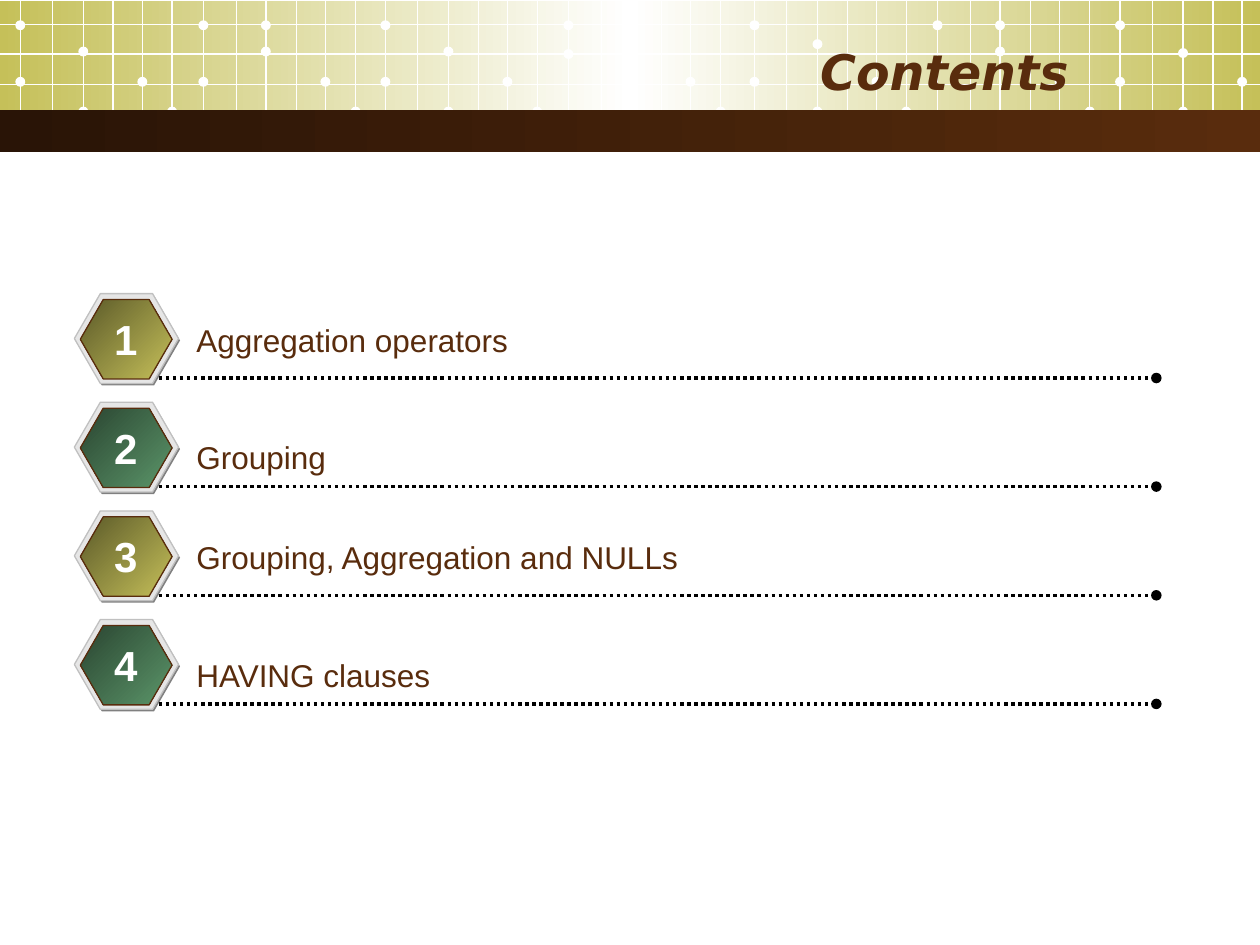
import copy

import pptx
import pptx.dml.color
import pptx.enum.dml
import pptx.enum.shapes
import pptx.enum.text
import pptx.oxml
import pptx.oxml.ns
import pptx.util

Cm = pptx.util.Cm
SHAPES = pptx.enum.shapes.MSO_SHAPE
ALIGN = pptx.enum.text.PP_ALIGN

WIDTH, HEIGHT = 25.4, 19.05
BROWN, WHITE, OLIVE = "592C0D", "FFFFFF", "C5C059"
OLIVE_FACE = ("5B5929", OLIVE)
GREEN_FACE = ("2A4531", "5B9569")

# Banner grid: each tile repeats the same columns and dots; only two dot heights vary.
COLUMNS = (0, 0.65, 1.27, 1.87, 2.46, 3.06, 3.69, 4.36, 4.95, 5.56, 6.15, 6.76)
GRID_ROWS = (0.5, 1.09, 1.7, 2.26)
# Tile left, height of the upper dot in column 2, height of the lower dot in column 6
TILES = ((0.41, 1.04, 1.65), (7.77, 1.04, 1.09), (15.21, 0.89, 1.3), (22.58, 1.07, 1.65))
DOT = 0.2

TOPICS = ("Aggregation operators", "Grouping", "Grouping, Aggregation and NULLs", "HAVING clauses")
FIRST_TOP, ROW_PITCH = 5.92, 2.19


def color(value):
    return pptx.dml.color.RGBColor.from_string(value)


class ContentsSlide:
    """Holds the slide being drawn and its shared text style."""

    font = "Arial"

    def __init__(self, presentation):
        self.slide = presentation.slides.add_slide(presentation.slide_layouts[6])

    def shape(self, kind, left, top, width, height, fill, line=None):
        """Fill is one colour, or a tuple of evenly spaced gradient colours."""
        shape = self.slide.shapes.add_shape(kind, Cm(left), Cm(top), Cm(width), Cm(height))
        shape.shadow.inherit = False
        if isinstance(fill, tuple):
            self.gradient(shape.fill, fill)
        else:
            shape.fill.solid()
            shape.fill.fore_color.rgb = color(fill)
        if line:
            shape.line.color.rgb = color(line)
            shape.line.width = pptx.util.Pt(0.75)
        else:
            shape.line.fill.background()
        return shape

    def gradient(self, fill, colors):
        fill.gradient()
        fill.gradient_angle = 0
        stop_list = fill._fill._gradFill.gsLst
        while len(stop_list) < len(colors):
            stop_list.append(copy.deepcopy(stop_list[-1]))
        for index, (stop, value) in enumerate(zip(fill.gradient_stops, colors)):
            stop.color.rgb = color(value)
            stop.position = index / (len(colors) - 1)

    def hexagon(self, left, top, width, height, fill, line=None):
        shape = self.shape(SHAPES.HEXAGON, left, top, width, height, fill, line)
        shape.adjustments[0] = 0.289
        shape.adjustments[1] = 1.155
        return shape

    def line(self, start, end, line_color, width, dotted=False):
        """Dotted lines end in a round dot."""
        connector = self.slide.shapes.add_connector(
            pptx.enum.shapes.MSO_CONNECTOR.STRAIGHT, *map(Cm, start + end))
        connector.line.color.rgb = color(line_color)
        connector.line.width = pptx.util.Pt(width)
        properties = connector._element.spPr
        if dotted:
            connector.line.dash_style = pptx.enum.dml.MSO_LINE.ROUND_DOT
            tail = pptx.oxml.parse_xml(
                f'<a:tailEnd {pptx.oxml.ns.nsdecls("a")} type="oval"/>')
            properties.find(pptx.oxml.ns.qn("a:ln")).append(tail)
        properties.append(pptx.oxml.parse_xml(f'<a:effectLst {pptx.oxml.ns.nsdecls("a")}/>'))

    def text(self, text, left, top, width, height, size, text_color=BROWN,
             align=ALIGN.LEFT, bold=False, italic=False, font=None, wrap=True):
        box = self.slide.shapes.add_textbox(Cm(left), Cm(top), Cm(width), Cm(height))
        frame = box.text_frame
        frame.word_wrap = wrap
        frame.vertical_anchor = pptx.enum.text.MSO_ANCHOR.MIDDLE
        frame.text = text
        paragraph = frame.paragraphs[0]
        paragraph.alignment = align
        run_font = paragraph.runs[0].font
        run_font.name = font or self.font
        run_font.size = pptx.util.Pt(size)
        run_font.bold = bold
        run_font.italic = italic
        run_font.color.rgb = color(text_color)

    def banner(self):
        self.shape(SHAPES.RECTANGLE, 0, 0.02, WIDTH, 2.6, (OLIVE, WHITE, OLIVE))
        for left, upper, lower in TILES:
            dots = {0: (0.51, 1.65), 2: (upper, 2.25), 4: (1.65,), 5: (2.25,),
                    6: (0.51, lower), 8: (0.51, 1.04), 10: (1.65,), 11: (2.25,)}
            for index, offset in enumerate(COLUMNS):
                x = left + offset
                if x > WIDTH:
                    break
                self.line((x, 0.02), (x, 2.8), WHITE, 0.75)
                for y in dots.get(index, ()):
                    self.shape(SHAPES.OVAL, x - DOT / 2, y - DOT / 2, DOT, DOT, WHITE)
        for y in GRID_ROWS:
            self.line((0, y), (WIDTH, y), WHITE, 0.75)
        self.shape(SHAPES.RECTANGLE, 0, 2.22, WIDTH, 0.84, ("291406", BROWN))

    def topic(self, index, label):
        top = FIRST_TOP + index * ROW_PITCH
        is_even_row = index % 2 == 1
        self.hexagon(1.53, top + 0.04, 2.1, 1.81, "808080")
        self.hexagon(1.5, top, 2.1, 1.81, "E6E6E6", "C0C0C0")
        face = self.hexagon(1.62, top + 0.12, 1.85, 1.6,
                            GREEN_FACE if is_even_row else OLIVE_FACE, BROWN)
        face.fill.gradient_angle = 315
        self.line((3.2, top + 1.7), (23.31, top + 1.7), "000000", 2, dotted=True)
        self.text(label, 3.71, top + (0.6 if is_even_row else 0.42), 19.4, 1.02, 18)
        self.text(str(index + 1), 2.05, top + 0.27, 0.97, 1.28, 24, WHITE,
                  ALIGN.CENTER, bold=True, wrap=False)


def main():
    presentation = pptx.Presentation()
    presentation.slide_width, presentation.slide_height = Cm(WIDTH), Cm(HEIGHT)
    contents = ContentsSlide(presentation)
    contents.banner()
    contents.text("Contents", 1.27, 0.64, 20.52, 1.57, 28, align=ALIGN.RIGHT,
                  bold=True, italic=True, font="DejaVu Sans")
    for index, label in enumerate(TOPICS):
        contents.topic(index, label)
    presentation.save("out.pptx")


if __name__ == "__main__":
    main()
